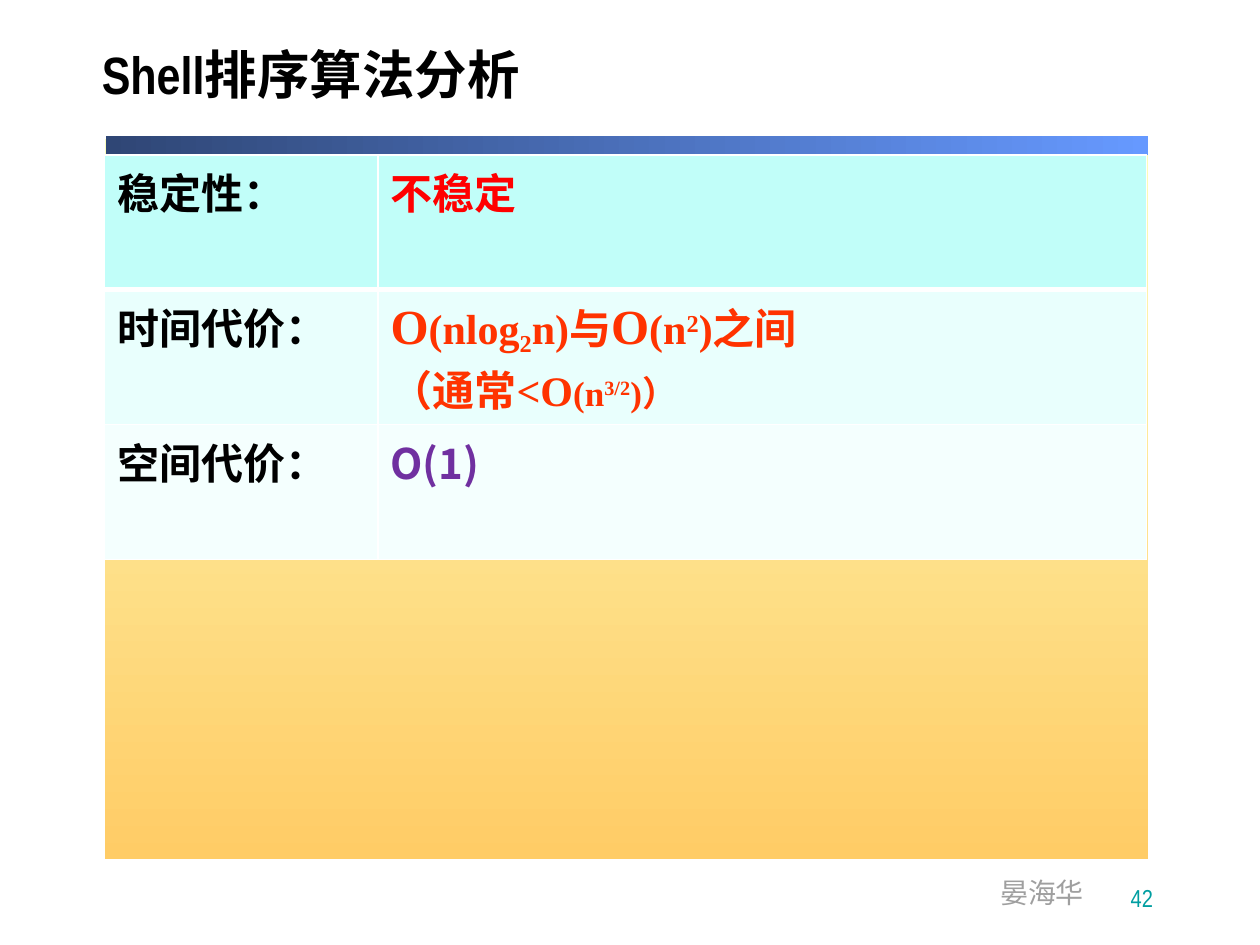
import pptx
import pptx.util
import pptx.dml.color
import pptx.enum.shapes
import pptx.enum.text
import pptx.oxml
import pptx.oxml.ns

Inches = pptx.util.Inches
Pt = pptx.util.Pt
ALIGN = pptx.enum.text.PP_ALIGN
ANCHOR = pptx.enum.text.MSO_ANCHOR

WIDTH, HEIGHT = 10, 7.5
NARROW, SERIF, CJK = "Arial Narrow", "Times New Roman", "Noto Sans CJK SC"
COLORS = {
    "black": "000000", "red": "FF0000", "orange": "FF3300", "purple": "7030A0",
    "gray": "9F9F9F", "teal": "009EA1", "white": "FFFFFF",
    "panel_top": "FCFEBC", "panel_bottom": "FFCC66",
    "bar_left": "2F4675", "bar_right": "6699FF",
}
ROW_FILLS = ["C1FEF9", "E9FFFD", "F4FFFE"]

TITLE = "Shell排序算法分析"
AUTHOR = "晏海华"
PAGE_NUMBER = "42"
ANALYSIS = [
    ("稳定性：", [[("不稳定", 24, 0)]], CJK, "red"),
    ("时间代价：", [
        [("O", 28, 0), ("(nlog", 24, 0), ("2", 24, -18), ("n)与", 24, 0),
         ("O", 28, 0), ("(n", 24, 0), ("2", 24, 30), (")之间", 24, 0)],
        [("（通常<O", 24, 0), ("(n", 20, 0), ("3/2", 20, 30), (")）", 20, 0)],
    ], SERIF, "orange"),
    ("空间代价：", [[("O(1)", 24, 0)]], CJK, "purple"),
]

TABLE_LEFT, TABLE_TOP = 0.83, 1.23
COLUMN_WIDTHS = [2.17, 6.1]
ROW_HEIGHT = 1.07
PANEL = (0.83, 1.1, 8.28, 5.72)
BAR = (0.84, 1.08, 8.27, 0.15)


def rgb(value):
    return pptx.dml.color.RGBColor.from_string(value)


def write_line(paragraph, pieces, font_name, color, bold=False):
    font = paragraph.font
    font.name, font.bold, font.size = font_name, bold, Pt(pieces[0][1])
    font.color.rgb = rgb(COLORS[color])
    for text, size, baseline in pieces:
        run = paragraph.add_run()
        run.text = text
        run.font.name, run.font.bold, run.font.size = font_name, bold, Pt(size)
        run.font.color.rgb = rgb(COLORS[color])
        properties = run.font._element
        east_asian = pptx.oxml.parse_xml(
            f'<a:ea {pptx.oxml.ns.nsdecls("a")} typeface="{CJK}"/>')
        properties.find(pptx.oxml.ns.qn("a:latin")).addnext(east_asian)
        if baseline:
            properties.set("baseline", str(baseline * 1000))


def add_gradient_block(slide, place, colors, angle):
    block = slide.shapes.add_shape(
        pptx.enum.shapes.MSO_SHAPE.RECTANGLE, *map(Inches, place))
    block.shadow.inherit = False
    block.line.fill.background()
    block.fill.gradient()
    block.fill.gradient_angle = angle
    for stop, color in zip(block.fill.gradient_stops, colors):
        stop.color.rgb = rgb(COLORS[color])


def add_label(slide, place, text, size, color, anchor, align=ALIGN.LEFT,
              bold=False, spacing=1.0, wrap=True):
    frame = slide.shapes.add_textbox(*map(Inches, place)).text_frame
    frame.word_wrap = wrap
    frame.vertical_anchor = anchor
    line = frame.paragraphs[0]
    line.alignment, line.line_spacing = align, spacing
    write_line(line, [(text, size, 0)], NARROW, color, bold)


def set_borders(cell, bottom_of_header, top_below_header):
    properties = cell._tc.get_or_add_tcPr()
    widths = {"L": 1, "R": 1, "T": 3 if top_below_header else 1,
              "B": 3 if bottom_of_header else 1}
    for position, (side, width) in enumerate(widths.items()):
        properties.insert(position, pptx.oxml.parse_xml(
            f'<a:ln{side} {pptx.oxml.ns.nsdecls("a")} w="{Pt(width)}"><a:solidFill>'
            f'<a:srgbClr val="{COLORS["white"]}"/></a:solidFill></a:ln{side}>'))


def add_analysis(slide):
    table = slide.shapes.add_table(
        len(ANALYSIS), len(COLUMN_WIDTHS), Inches(TABLE_LEFT), Inches(TABLE_TOP),
        Inches(sum(COLUMN_WIDTHS)), Inches(ROW_HEIGHT * len(ANALYSIS))).table
    for column, width in zip(table.columns, COLUMN_WIDTHS):
        column.width = Inches(width)
    for row, (heading, lines, font_name, color) in enumerate(ANALYSIS):
        contents = [([[(heading, 24, 0)]], NARROW, "black"),
                    (lines, font_name, color)]
        for column, (cell_lines, cell_font, cell_color) in enumerate(contents):
            cell = table.cell(row, column)
            cell.fill.solid()
            cell.fill.fore_color.rgb = rgb(ROW_FILLS[row])
            set_borders(cell, row == 0, row == 1)
            frame = cell.text_frame
            for index, pieces in enumerate(cell_lines):
                line = frame.add_paragraph() if index else frame.paragraphs[0]
                write_line(line, pieces, cell_font, cell_color, bold=True)


def main():
    deck = pptx.Presentation()
    deck.slide_width, deck.slide_height = Inches(WIDTH), Inches(HEIGHT)
    slide = deck.slides.add_slide(deck.slide_layouts[6])
    add_gradient_block(slide, PANEL, ("panel_top", "panel_bottom"), 270)
    add_gradient_block(slide, BAR, ("bar_left", "bar_right"), 0)
    add_label(slide, (7.84, 6.9, 0.87, 0.37), AUTHOR, 16, "gray", ANCHOR.TOP,
              wrap=False)
    add_label(slide, (0.71, 0.17, 8.96, 0.92), TITLE, 30, "black", ANCHOR.MIDDLE,
              bold=True, spacing=0.8)
    add_label(slide, (7.36, 6.81, 1.89, 0.48), PAGE_NUMBER, 14, "teal",
              ANCHOR.BOTTOM, align=ALIGN.RIGHT)
    add_analysis(slide)
    deck.save("out.pptx")


if __name__ == "__main__":
    main()
